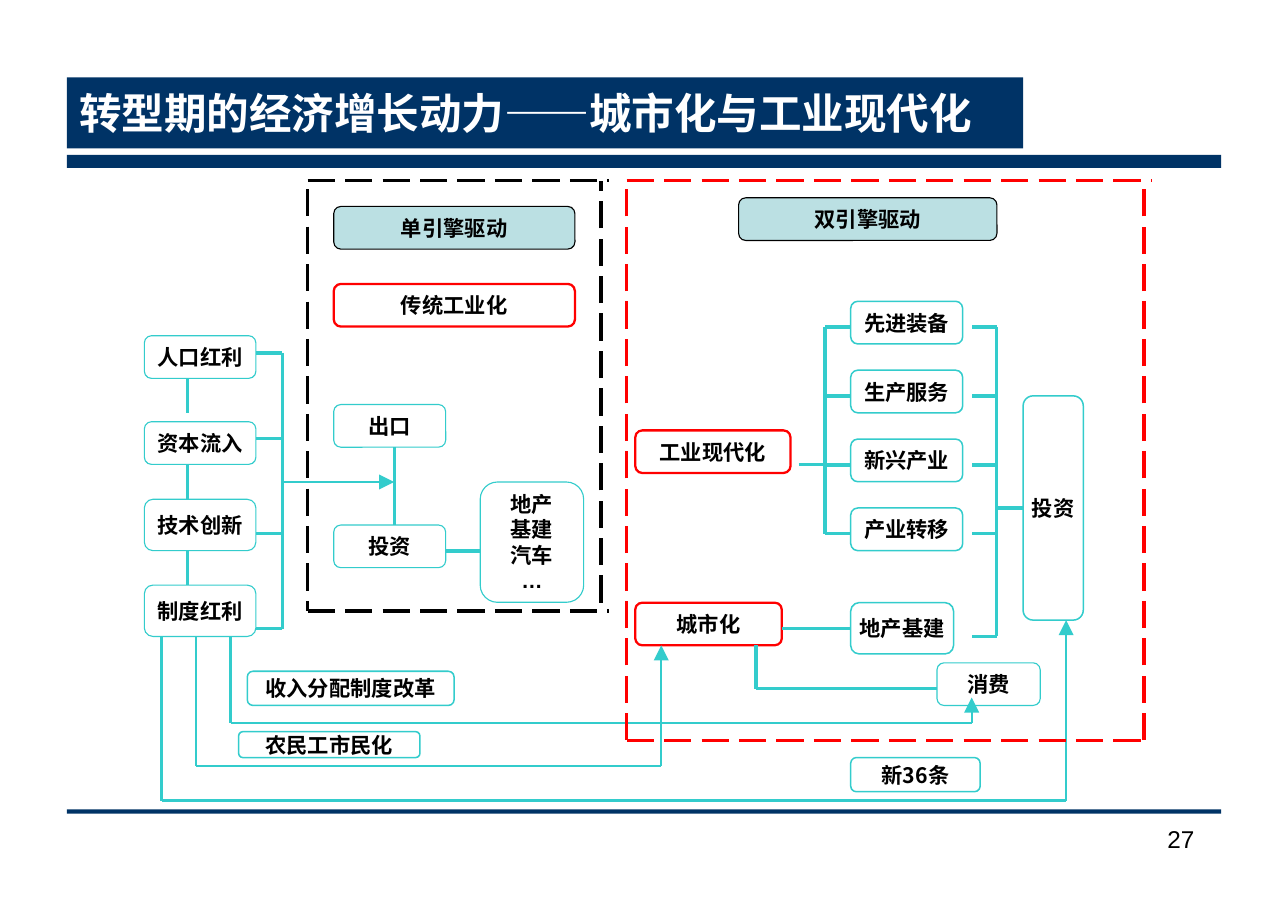
from dataclasses import dataclass

from lxml.etree import SubElement
from pptx import Presentation
from pptx.dml.color import RGBColor
from pptx.enum.dml import MSO_LINE
from pptx.enum.lang import MSO_LANGUAGE_ID as Language
from pptx.enum.shapes import MSO_CONNECTOR, MSO_SHAPE
from pptx.enum.text import MSO_ANCHOR as Anchor, PP_ALIGN as Align
from pptx.oxml.ns import qn
from pptx.shapes.autoshape import Shape
from pptx.shapes.connector import Connector
from pptx.slide import Slide
from pptx.util import Pt

NAVY, TEAL, RED, BLACK, WHITE, PALE = "003366", "33CCCC", "FF0000", "000000", "FFFFFF", "BBE0E3"
LEFT_SIDE = 1
Point = tuple[float, float]


@dataclass
class Box:
    text: str
    left: float
    top: float
    width: float
    height: float = 28.1
    line: str = TEAL
    line_width: float = 0.75
    fill: str | None = None
    font: str = "Arial"


@dataclass
class Route:
    """A chain of straight segments through the given points."""
    points: list[Point]
    width: float = 2.25
    color: str = TEAL
    arrow: bool = False
    dashed: bool = False


@dataclass
class Bus:
    """A vertical trunk with horizontal stubs that reach from it to another x."""
    trunk_x: float
    stub_x: float
    stub_ys: list[float]


SECTOR_TOPS = [198.3 + 45.36 * row for row in range(4)]
SECTOR_LINES = [top + 17 for top in SECTOR_TOPS]

INVESTMENT = Box("投资", 673.2, 260.6, 39.6, 147.6, line_width=1)
PROPERTY = Box("地产基建", 559.8, 396.7, 67.7, 33.8, line_width=1)

BOXES = [
    Box("人口红利", 95, 221, 73.4),
    Box("资本流入", 95, 277.6, 73.4),
    Box("技术创新", 95, 328.7, 73.4, 33.8),
    Box("制度红利", 95, 385.2, 73.4, 33.8),
    Box("单引擎驱动", 219.6, 135.9, 158.7, line=BLACK, fill=PALE),
    Box("传统工业化", 219.6, 186.9, 158.7, line=RED, line_width=1.5),
    Box("出口", 219.6, 266.3, 73.7),
    Box("投资", 219.6, 345.6, 73.7),
    Box("地产\n基建\n汽车\n…", 316, 317.3, 68.1, 79.2),
    Box("双引擎驱动", 486, 130.2, 170, line=BLACK, fill=PALE),
    Box("工业现代化", 418, 283.3, 102.2, line=RED, line_width=1.5),
    Box("城市化", 418, 396.7, 96.5, line=RED, line_width=1.5),
    *(Box(name, 559.8, top, 73.7, line_width=1)
      for name, top in zip(["先进装备", "生产服务", "新兴产业", "产业转移"], SECTOR_TOPS)),
    Box("消费", 616.5, 436.3, 68),
    Box("收入分配制度改革", 162.7, 441.9, 136.1, 22.5, line_width=1),
    Box("农民工市民化", 157, 481.6, 119.3, 17.1, line_width=1),
    Box("新36条", 559.8, 498.7, 85.2, 22.5, line_width=1, font="Noto Sans CJK SC"),
]

BUSES = [
    Bus(185.8, 168.5, [232.3, 288.7, 351.2, 413.8]),
    Bus(542.9, 559.8, SECTOR_LINES),
    Bus(655.9, 639.4, [*SECTOR_LINES, 419]),
]

ROUTES = [
    # Dividend chain
    *(Route([(123.3, start), (123.3, end)])
      for start, end in [(249.1, 272.1), (305.7, 328.7), (362.5, 385.2)]),
    # Single engine
    Route([(185.8, 317.3), (259.4, 317.3)], 1.5, arrow=True),
    Route([(259.4, 294.4), (259.4, 345.6)]),
    Route([(293.3, 362.7), (316, 362.7)]),
    # Double engine
    Route([(525.6, 305.8), (542.9, 305.8)]),
    Route([(497.5, 424.8), (497.5, 453.4), (616.5, 453.4)]),
    # Reforms
    Route([(151.7, 419), (151.7, 475.9), (639.4, 475.9), (639.4, 459.2)], 1.5, arrow=True),
    Route([(129, 419), (129, 504.4), (435.1, 504.4), (435.1, 424.8)], 1.5, arrow=True),
    Route([(106.3, 419), (106.3, 527), (701.5, 527), (701.5, 408.2)], 1.5, arrow=True),
    # Dashed frames
    *(Route(side, color=RED, dashed=True) for side in [
        [(412.4, 487.3), (752.7, 487.3)], [(752.7, 487.3), (752.7, 118.9)],
        [(412.4, 487.3), (412.4, 118.9)], [(412.4, 118.9), (758.2, 118.9)]]),
    *(Route(side, color=BLACK, dashed=True) for side in [
        [(202.5, 118.9), (401, 118.9)], [(202.5, 124.6), (202.5, 402.3)],
        [(202.5, 402.3), (401, 402.3)], [(395.4, 396.7), (395.4, 118.9)]]),
]


def rgb(color: str) -> RGBColor:
    return RGBColor.from_string(color)


def write(shape: Shape, text: str, size: float, color: str, align: Align, bold: bool = True,
          wrap: bool = True, anchor: Anchor = Anchor.MIDDLE, font: str = "Arial",
          inset: Point = (7.2, 3.6)) -> None:
    frame = shape.text_frame
    frame.word_wrap = wrap
    frame.vertical_anchor = anchor
    frame.margin_left = frame.margin_right = Pt(inset[0])
    frame.margin_top = frame.margin_bottom = Pt(inset[1])
    for index, line in enumerate(text.split("\n")):
        paragraph = frame.add_paragraph() if index else frame.paragraphs[0]
        paragraph.alignment = align
        run = paragraph.add_run()
        run.text = line
        run.font.name = font
        run.font.size = Pt(size)
        run.font.bold = bold
        run.font.color.rgb = rgb(color)
        run.font.language_id = Language.SIMPLIFIED_CHINESE


def add_bar(slide: Slide, left: float, top: float, width: float, height: float) -> Shape:
    bar = slide.shapes.add_shape(MSO_SHAPE.RECTANGLE, Pt(left), Pt(top), Pt(width), Pt(height))
    bar.shadow.inherit = False
    bar.fill.solid()
    bar.fill.fore_color.rgb = rgb(NAVY)
    bar.line.fill.background()
    return bar


def add_box(slide: Slide, box: Box) -> Shape:
    shape = slide.shapes.add_shape(MSO_SHAPE.FLOWCHART_ALTERNATE_PROCESS, Pt(box.left),
                                   Pt(box.top), Pt(box.width), Pt(box.height))
    shape.shadow.inherit = False
    if box.fill:
        shape.fill.solid()
        shape.fill.fore_color.rgb = rgb(box.fill)
    else:
        shape.fill.background()
    shape.line.color.rgb = rgb(box.line)
    shape.line.width = Pt(box.line_width)
    write(shape, box.text, 14, BLACK, Align.CENTER, wrap=False, font=box.font)
    return shape


def add_route(slide: Slide, route: Route) -> Connector:
    """Draw every segment and return the last one."""
    for (x1, y1), (x2, y2) in zip(route.points, route.points[1:]):
        segment = slide.shapes.add_connector(MSO_CONNECTOR.STRAIGHT, Pt(x1), Pt(y1), Pt(x2), Pt(y2))
        segment.line.color.rgb = rgb(route.color)
        segment.line.width = Pt(route.width)
        if route.dashed:
            segment.line.dash_style = MSO_LINE.LONG_DASH
        SubElement(segment._element.spPr, qn("a:effectLst"))
    if route.arrow:
        SubElement(segment.line._get_or_add_ln(), qn("a:tailEnd"), type="triangle", w="lg", len="lg")
    return segment


def add_bus(slide: Slide, bus: Bus) -> None:
    add_route(slide, Route([(bus.trunk_x, bus.stub_ys[0]), (bus.trunk_x, bus.stub_ys[-1])]))
    for y in bus.stub_ys:
        add_route(slide, Route([(bus.trunk_x, y), (bus.stub_x, y)]))


def add_link_into(slide: Slide, start_x: float, box: Box) -> None:
    """Draw a box and a level line joined to the middle of its left side."""
    shape = add_box(slide, box)
    middle = box.top + box.height / 2
    link = add_route(slide, Route([(start_x, middle), (box.left, middle)]))
    link.end_connect(shape, LEFT_SIDE)


def main() -> None:
    presentation = Presentation()
    presentation.slide_width, presentation.slide_height = Pt(847.5), Pt(601)
    slide = presentation.slides.add_slide(presentation.slide_layouts[6])

    title = add_bar(slide, 44, 50.9, 629.3, 46.8)
    write(title, "转型期的经济增长动力——城市化与工业现代化", 28, WHITE, Align.LEFT, inset=(8.2, 4.1))
    add_bar(slide, 44, 102, 759.6, 8.6)
    add_bar(slide, 44, 532.8, 759.6, 2.9)
    page_number = slide.shapes.add_textbox(Pt(730), Pt(538.4), Pt(64), Pt(41.8))
    write(page_number, "27", 16, BLACK, Align.RIGHT, bold=False, anchor=Anchor.TOP, inset=(8.2, 4.1))

    for box in BOXES:
        add_box(slide, box)
    for bus in BUSES:
        add_bus(slide, bus)
    for route in ROUTES:
        add_route(slide, route)
    add_link_into(slide, 655.9, INVESTMENT)
    add_link_into(slide, 514.8, PROPERTY)

    presentation.save("out.pptx")


if __name__ == "__main__":
    main()
